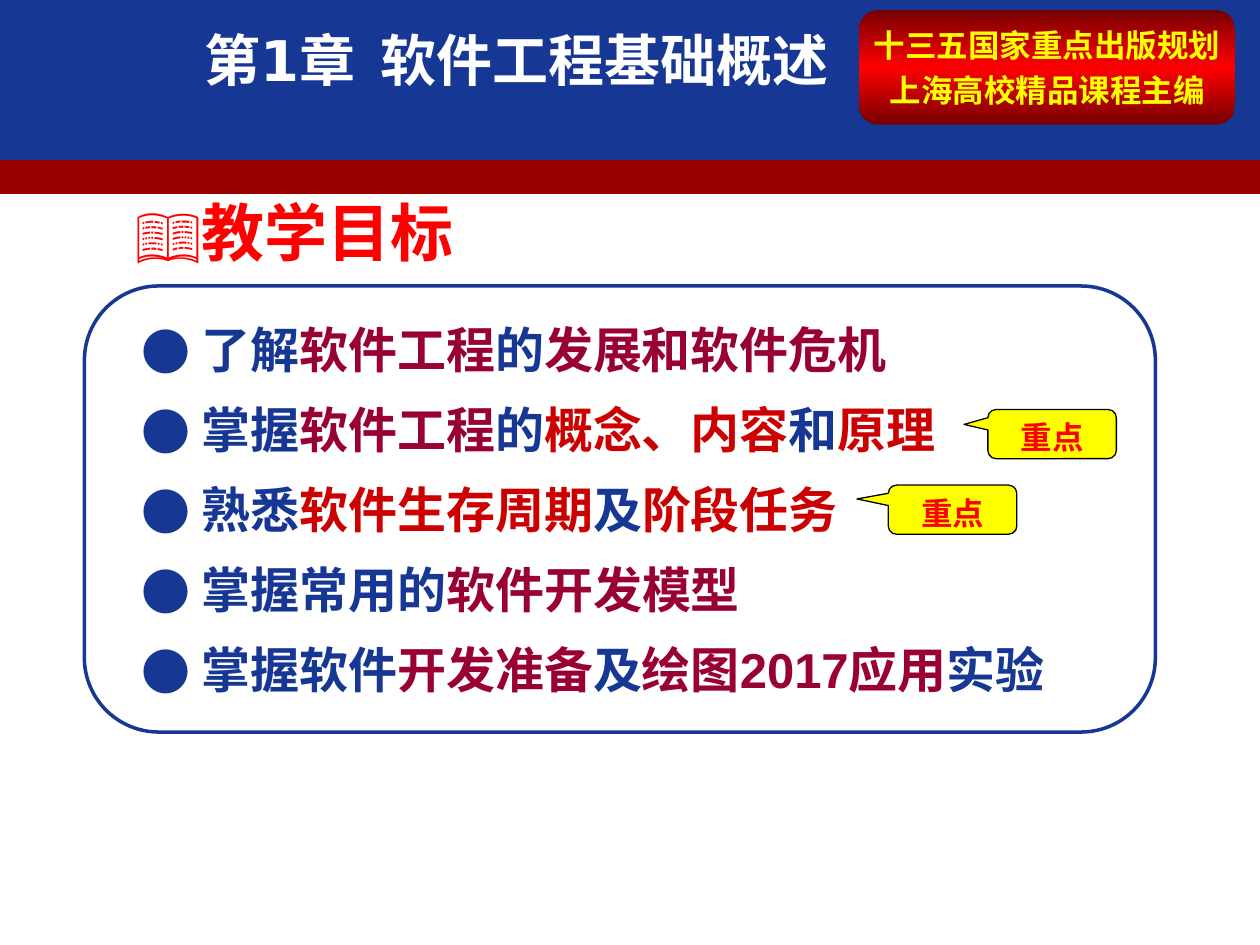
from copy import deepcopy

from lxml.etree import SubElement
from pptx import Presentation
from pptx.dml.color import RGBColor
from pptx.enum.shapes import MSO_SHAPE
from pptx.enum.text import MSO_ANCHOR, PP_ALIGN
from pptx.oxml.ns import qn
from pptx.util import Inches, Pt

# Content
BLUE, MAROON, CRIMSON = "163794", "990033", "CC0000"
RED, YELLOW, WHITE = "FF0000", "FFFF00", "FFFFFF"
CJK = "Noto Sans CJK SC"

TITLE = "第1章  软件工程基础概述"
HEADING = "📖教学目标"
BADGE = ["十三五国家重点出版规划", "上海高校精品课程主编"]
GOALS = [
    [("了解", BLUE), ("软件工程", MAROON), ("的", BLUE), ("发展和软件危机", MAROON)],
    [("掌握", BLUE), ("软件工程", MAROON), ("的", BLUE), ("概念、内容", CRIMSON),
     ("和", BLUE), ("原理", CRIMSON)],
    [("熟悉", BLUE), ("软件生存周期", CRIMSON), ("及", BLUE), ("阶段任务", CRIMSON)],
    [("掌握常用的", BLUE), ("软件开发模型", MAROON)],
    [("掌握软件", BLUE), ("开发准备", MAROON), ("及", BLUE),
     ("绘图2017应用", MAROON), ("实验", BLUE)],
]
KEY_POINT = "重点"
CALLOUTS = [  # left, top, pointer tip as shares of the callout
    (7.84, 3.25, (-0.686, -0.196)),
    (7.05, 3.85, (-0.744, -0.218)),
]
BANDS = [(0, 1.29, BLUE), (1.27, 0.27, "990000")]  # top, height, colour


def rgb(value):
    return RGBColor.from_string(value)


def style(run, size, font, color):
    run.font.size, run.font.name, run.font.bold = Pt(size), font, True
    run.font.color.rgb = rgb(color)
    SubElement(run._r.get_or_add_rPr(), qn("a:ea"), typeface=CJK)


def place(shape, *box):
    shape.left, shape.top, shape.width, shape.height = map(Inches, box)


def add_box(kind, box, fill=None, line=None, width=1):
    shape = slide.shapes.add_shape(kind, *map(Inches, box))
    shape.shadow.inherit = False
    if fill:
        shape.fill.solid()
        shape.fill.fore_color.rgb = rgb(fill)
    if line:
        shape.line.color.rgb = rgb(line)
        shape.line.width = Pt(width)
    else:
        shape.line.fill.background()
    return shape


def write(frame, lines, size, font, color, align=PP_ALIGN.CENTER, before=0):
    frame.text = "\n".join(lines)
    for paragraph in frame.paragraphs:
        paragraph.alignment, paragraph.space_before = align, Pt(before)
        for run in paragraph.runs:
            style(run, size, font, color)


def add_bullet(paragraph, color):
    props = paragraph._p.get_or_add_pPr()
    props.set("marL", str(Inches(0.66)))
    props.set("indent", str(-Inches(0.48)))
    bullet_color = SubElement(props, qn("a:buClr"))
    SubElement(bullet_color, qn("a:srgbClr"), val=color)
    SubElement(props, qn("a:buFont"), typeface=CJK)
    SubElement(props, qn("a:buChar"), char="●")


deck = Presentation()
deck.slide_width, deck.slide_height = Inches(10), Inches(7.5)
slide = deck.slides.add_slide(deck.slide_layouts[5])

# Header bands, with the title in front
for top, height, color in BANDS:
    add_box(MSO_SHAPE.RECTANGLE, (0, top, 10, height), color)
title = slide.shapes.title
slide.shapes._spTree.append(title._element)
place(title, 0.47, 0.18, 7.26, 0.58)
title.text_frame.vertical_anchor = MSO_ANCHOR.MIDDLE
write(title.text_frame, [TITLE], 32, "DejaVu Sans", WHITE)

# Panel of teaching goals
panel = add_box(MSO_SHAPE.ROUNDED_RECTANGLE, (0.67, 2.27, 8.5, 3.54), WHITE, BLUE, 2)
goals = panel.text_frame
goals.vertical_anchor = MSO_ANCHOR.MIDDLE
for number, parts in enumerate(GOALS):
    goal = goals.add_paragraph() if number else goals.paragraphs[0]
    goal.alignment = PP_ALIGN.LEFT
    goal.space_before, goal.line_spacing = Pt(12), Pt(33.7)
    add_bullet(goal, BLUE)
    for words, color in parts:
        run = goal.add_run()
        run.text = words
        style(run, 28, "Arial", color)

# Section heading
heading = slide.shapes.add_textbox(*map(Inches, (0.98, 1.49, 3.31, 0.71)))
heading.text_frame.word_wrap = True
write(heading.text_frame, [HEADING], 36, CJK, RED, PP_ALIGN.LEFT)

# Key-point callouts
for left, top, tip in CALLOUTS:
    callout = add_box(MSO_SHAPE.ROUNDED_RECTANGULAR_CALLOUT,
                      (left, top, 1.02, 0.39), YELLOW, "000000", 0.75)
    callout.adjustments[0], callout.adjustments[1] = tip
    callout.text_frame.vertical_anchor = MSO_ANCHOR.TOP
    write(callout.text_frame, [KEY_POINT], 18, "Montserrat", RED, before=4)

# Badge with a dark-bright-dark gradient
badge = add_box(MSO_SHAPE.FLOWCHART_ALTERNATE_PROCESS, (6.82, 0.08, 2.98, 0.91))
badge.fill.gradient()
badge.fill.gradient_angle = 270
first = badge.fill._fill._gradFill.gsLst[0]
first.addnext(deepcopy(first))
for stop, (position, color) in zip(
        badge.fill.gradient_stops, [(0, "760000"), (0.5, RED), (1, "760000")]):
    stop.position, stop.color.rgb = position, rgb(color)
badge.text_frame.word_wrap = False
badge.text_frame.vertical_anchor = MSO_ANCHOR.MIDDLE
write(badge.text_frame, BADGE, 18, "Arial", YELLOW, before=4)

deck.save("out.pptx")
